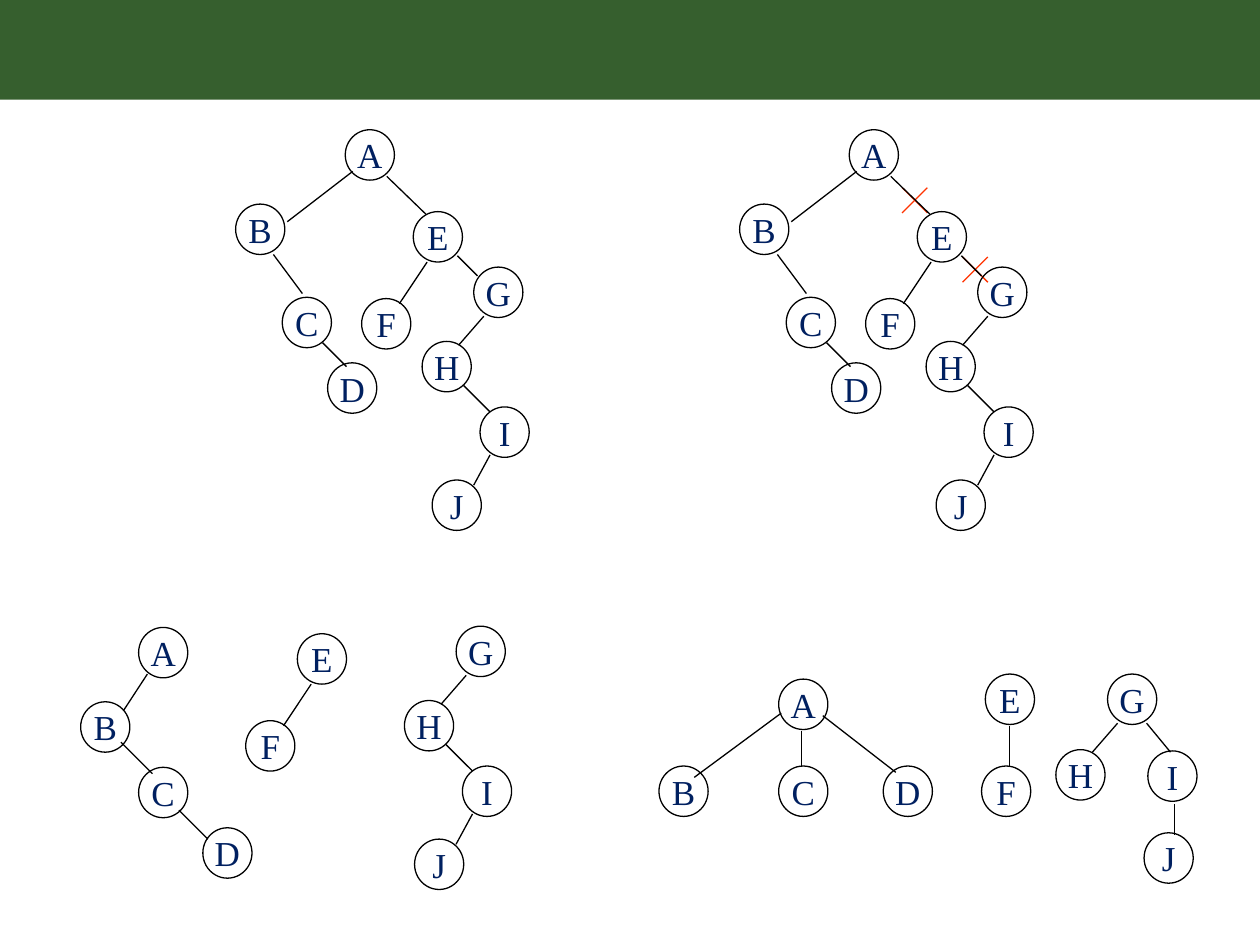
from dataclasses import dataclass

from lxml.etree import SubElement
from pptx import Presentation
from pptx.dml.color import RGBColor as Rgb
from pptx.enum.shapes import MSO_CONNECTOR as Conn, MSO_SHAPE as Kind
from pptx.enum.text import MSO_ANCHOR as Anchor, PP_ALIGN as Align
from pptx.oxml.ns import qn
from pptx.util import Cm, Pt


@dataclass(frozen=True)
class Theme:
    band: Rgb = Rgb(0x36, 0x5F, 0x2E)
    ink: Rgb = Rgb(0, 0, 0)
    text: Rgb = Rgb(0, 0x20, 0x60)
    cut: Rgb = Rgb(0xFF, 0x33, 0)
    face: str = "Times New Roman"
    size: float = 20
    line: float = 0.75


UNIT = 2.54  # cm in one step of the layout grid
WIDE, HIGH = 0.39, 0.4  # node size
ARM = 0.1  # half the width of a cut mark


def grid(*vals):
    """Turn grid steps into lengths."""
    return [Cm(val * UNIT) for val in vals]


def assign(obj, vals):
    for name, val in vals.items():
        setattr(obj, name, val)


class Board:
    def __init__(self, slide, theme):
        self.slide, self.theme = slide, theme

    def band(self, wide, high):
        bar = self.slide.shapes.add_shape(Kind.RECTANGLE, *grid(0, 0, wide, high))
        bar.shadow.inherit = False
        bar.fill.solid()
        bar.fill.fore_color.rgb = self.theme.band
        bar.line.fill.background()

    def node(self, name, x, y):
        look = self.theme
        ring = self.slide.shapes.add_shape(Kind.OVAL, *grid(x, y, WIDE, HIGH))
        ring.shadow.inherit = False
        ring.fill.background()
        ring.line.color.rgb = look.ink
        ring.line.width = Pt(look.line)
        frame = ring.text_frame
        assign(frame, dict(word_wrap=False, vertical_anchor=Anchor.MIDDLE,
                           margin_left=0, margin_right=0,
                           margin_top=0, margin_bottom=0))
        para = frame.paragraphs[0]
        para.alignment = Align.CENTER
        run = para.add_run()
        run.text = name
        assign(run.font, dict(name=look.face, size=Pt(look.size)))
        run.font.color.rgb = look.text

    def edge(self, ends, color=None):
        link = self.slide.shapes.add_connector(Conn.STRAIGHT, *grid(*ends))
        link.line.color.rgb = color or self.theme.ink
        link.line.width = Pt(self.theme.line)
        SubElement(link._element.spPr, qn("a:effectLst"))

    def cross(self, x, y):
        """Mark an edge as cut, centred on a point."""
        for rise in (ARM, -ARM):
            self.edge((x - ARM, y - rise, x + ARM, y + rise), self.theme.cut)

    def tree(self, part, dx=0, dy=0):
        nodes, edges = part
        for name, (x, y) in nodes.items():
            self.node(name, x + dx, y + dy)
        for x1, y1, x2, y2 in edges:
            self.edge((x1 + dx, y1 + dy, x2 + dx, y2 + dy))


# Each part holds node corners and edge ends.
LEFT = (
    {"A": (2.74, 1.03), "B": (1.87, 1.62), "C": (2.24, 2.36), "D": (2.6, 2.88)},
    [(2.8, 1.36, 2.28, 1.76), (2.17, 2.02, 2.4, 2.33), (2.56, 2.72, 2.75, 2.91)],
)
PAIR = (
    {"E": (3.28, 1.68), "F": (2.87, 2.37)},
    [(3.39, 2.08, 3.17, 2.41)],
)
CHAIN = (
    {"G": (3.76, 2.12), "H": (3.35, 2.71), "I": (3.81, 3.23), "J": (3.43, 3.81)},
    [(3.84, 2.51, 3.64, 2.74), (3.68, 3.06, 3.89, 3.27), (3.89, 3.61, 3.76, 3.85)],
)
JOINS = ({}, [(3.07, 1.4, 3.38, 1.7), (3.63, 2.03, 3.79, 2.19)])
BINARY = (LEFT, PAIR, CHAIN, JOINS)

SPLIT = (
    {"A": (1.1, 4.98), "B": (0.64, 5.57), "C": (1.1, 6.09), "D": (1.61, 6.57)},
    [(1.17, 5.35, 0.98, 5.64), (0.96, 5.89, 1.21, 6.14), (1.42, 6.43, 1.65, 6.66)],
)
FOREST = (
    (
        {"A": (6.18, 5.39), "B": (5.23, 6.08), "C": (6.18, 6.08), "D": (7.01, 6.08)},
        [(6.2, 5.66, 5.51, 6.17), (6.36, 5.8, 6.36, 6.09), (6.53, 5.68, 7.11, 6.13)],
    ),
    (
        {"E": (7.82, 5.35), "F": (7.79, 6.08)},
        [(8.01, 5.76, 8.01, 6.09)],
    ),
    (
        {"G": (8.79, 5.35), "H": (8.38, 5.95), "I": (9.11, 5.96), "J": (9.08, 6.61)},
        [(8.87, 5.74, 8.67, 5.97), (9.1, 5.74, 9.29, 5.97), (9.32, 6.38, 9.32, 6.63)],
    ),
)
CUTS = [(7.26, 1.59), (7.74, 2.14)]


def main():
    deck = Presentation()
    deck.slide_width, deck.slide_height = grid(10, 7.5)
    board = Board(deck.slides.add_slide(deck.slide_layouts[6]), Theme())
    board.band(10, 0.79)

    for spot in CUTS:
        board.cross(*spot)
    for shift in (0, 4):
        for part in BINARY:
            board.tree(part, shift)

    board.tree(SPLIT)
    board.tree(PAIR, -0.92, 3.35)
    board.tree(CHAIN, -0.14, 2.85)

    for part in FOREST:
        board.tree(part)
    deck.save("out.pptx")


if __name__ == "__main__":
    main()
